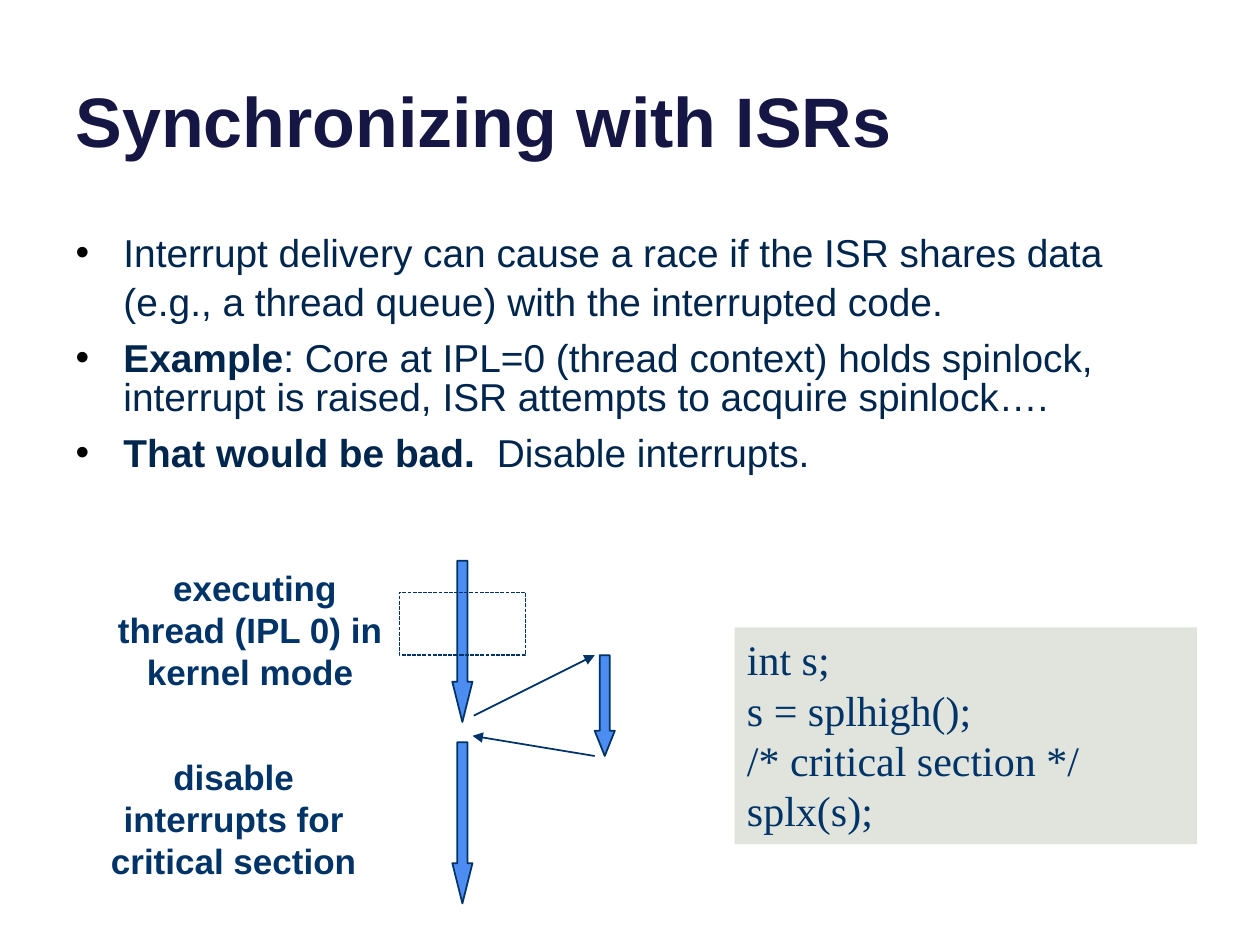
from lxml import etree
from pptx import Presentation
from pptx.dml.color import RGBColor
from pptx.enum.dml import MSO_LINE_DASH_STYLE as Dash
from pptx.enum.shapes import MSO_CONNECTOR as Connector, MSO_SHAPE as Shape
from pptx.enum.text import MSO_ANCHOR as Anchor, MSO_AUTO_SIZE as AutoSize, PP_ALIGN as Align
from pptx.oxml.ns import qn
from pptx.util import Inches, Pt

NAVY = "003367"
BODY_COLOR = "00264D"

# Line spacing and (text, bold) runs of each bullet
BULLETS = [
    (1.05, [("Interrupt delivery can cause a race if the ISR shares data "
             "(e.g., a thread queue) with the interrupted code.", False)]),
    (0.85, [("Example", True),
            (": Core at IPL=0 (thread context) holds spinlock, interrupt is "
             "raised, ISR attempts to acquire spinlock….", False)]),
    (0.85, [("That would be bad.", True), ("  Disable interrupts.", False)]),
]
CODE = ["int s;", "s = splhigh();", "/* critical section */", "splx(s);"]


def rgb(value):
    return RGBColor.from_string(value)


def place(shape, left, top, width, height):
    shape.left, shape.top = Inches(left), Inches(top)
    shape.width, shape.height = Inches(width), Inches(height)


def style_font(font, size, color, name="Arial", bold=None):
    font.name, font.size, font.bold = name, Pt(size), bold
    font.color.rgb = rgb(color)


def set_bullet(paragraph, indent):
    properties = paragraph._p.get_or_add_pPr()
    properties.set("marL", str(Inches(indent)))
    properties.set("indent", str(-Inches(indent)))
    color = etree.SubElement(properties, qn("a:buClr"))
    etree.SubElement(color, qn("a:srgbClr"), val="000000")
    etree.SubElement(properties, qn("a:buFont"), typeface="Arial")
    etree.SubElement(properties, qn("a:buChar"), char="•")


def fill_title(title, text):
    place(title, 0.5, -0.37, 9, 1.7)
    frame = title.text_frame
    frame.auto_size = AutoSize.NONE
    frame.vertical_anchor = Anchor.BOTTOM
    frame.text = text
    paragraph = frame.paragraphs[0]
    paragraph.alignment = Align.LEFT
    style_font(paragraph.font, 40, "161645", bold=True)


def fill_body(body, bullets):
    place(body, 0.5, 1.75, 9, 1.92)
    frame = body.text_frame
    frame.auto_size = AutoSize.NONE
    for index, (spacing, runs) in enumerate(bullets):
        paragraph = frame.add_paragraph() if index else frame.paragraphs[0]
        set_bullet(paragraph, 0.38)
        paragraph.line_spacing = spacing
        paragraph.space_before = Pt(9 if index else 0)
        style_font(paragraph.font, 22.2, BODY_COLOR)
        for text, bold in runs:
            run = paragraph.add_run()
            run.text, run.font.bold = text, bold


def add_label(slide, left, top, text):
    box = slide.shapes.add_textbox(Inches(left), Inches(top), Inches(2.37), Inches(1.11))
    frame = box.text_frame
    frame.word_wrap = True
    frame.text = text
    paragraph = frame.paragraphs[0]
    paragraph.alignment = Align.CENTER
    style_font(paragraph.font, 20, NAVY, bold=True)


def add_shape(slide, kind, left, top, width, height, fill=None, line_width=None):
    shape = slide.shapes.add_shape(
        kind, Inches(left), Inches(top), Inches(width), Inches(height))
    shape.shadow.inherit = False
    if fill:
        shape.fill.solid()
        shape.fill.fore_color.rgb = rgb(fill)
    else:
        shape.fill.background()
    if line_width:
        shape.line.color.rgb = rgb(NAVY)
        shape.line.width = Pt(line_width)
    else:
        shape.line.fill.background()
    return shape


def add_down_arrow(slide, left, top, height):
    width = 0.16
    arrow = add_shape(slide, Shape.DOWN_ARROW, left, top, width, height, "4D8CF1", 1)
    arrow.adjustments[0] = 0.5
    arrow.adjustments[1] = height / 4 / width  # head is a quarter of the length


def add_arrow(slide, start, end):
    arrow = slide.shapes.add_connector(
        Connector.STRAIGHT, *(Inches(value) for value in start + end))
    arrow.line.color.rgb = rgb(NAVY)
    arrow.line.width = Pt(1)
    etree.SubElement(arrow.line._get_or_add_ln(), qn("a:tailEnd"), type="triangle")
    etree.SubElement(arrow._element.spPr, qn("a:effectLst"))


def add_code(slide, lines):
    box = add_shape(slide, Shape.RECTANGLE, 5.83, 4.98, 3.67, 1.72, "E0E4DC")
    frame = box.text_frame
    frame.vertical_anchor = Anchor.TOP
    frame.text = "\n".join(lines)
    for paragraph in frame.paragraphs:
        paragraph.alignment = Align.LEFT
        style_font(paragraph.font, 24, NAVY, "Times New Roman")


def main():
    presentation = Presentation()
    presentation.slide_width, presentation.slide_height = Inches(10), Inches(7.5)
    slide = presentation.slides.add_slide(presentation.slide_layouts[1])

    # Title and bullets
    fill_title(slide.shapes.title, "Synchronizing with ISRs")
    fill_body(slide.placeholders[1], BULLETS)

    # Thread timeline, interrupted by the service routine
    for top in (4.45, 5.89):
        add_down_arrow(slide, 3.59, top, 1.28)
    add_arrow(slide, (3.76, 5.68), (4.72, 5.2))
    add_arrow(slide, (4.72, 6), (3.75, 5.84))
    add_down_arrow(slide, 4.72, 5.2, 0.8)

    # Labels and the critical section
    add_label(slide, 0.8, 4.45, " executing thread (IPL 0) in kernel mode")
    section = add_shape(slide, Shape.RECTANGLE, 3.17, 4.7, 1, 0.5, line_width=0.75)
    section.line.dash_style = Dash.SQUARE_DOT
    add_label(slide, 0.67, 5.95, "disable interrupts for critical section")

    # Code
    add_code(slide, CODE)
    presentation.save("out.pptx")


if __name__ == "__main__":
    main()
